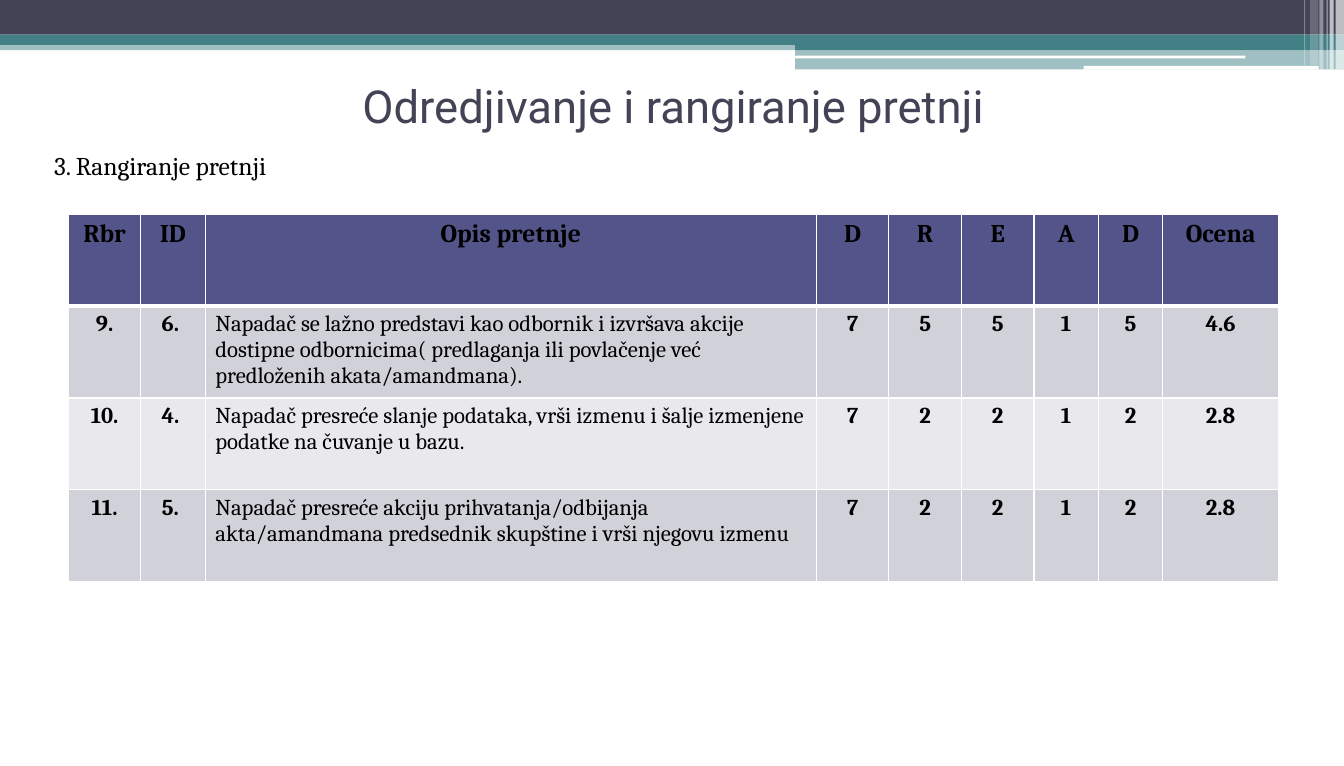
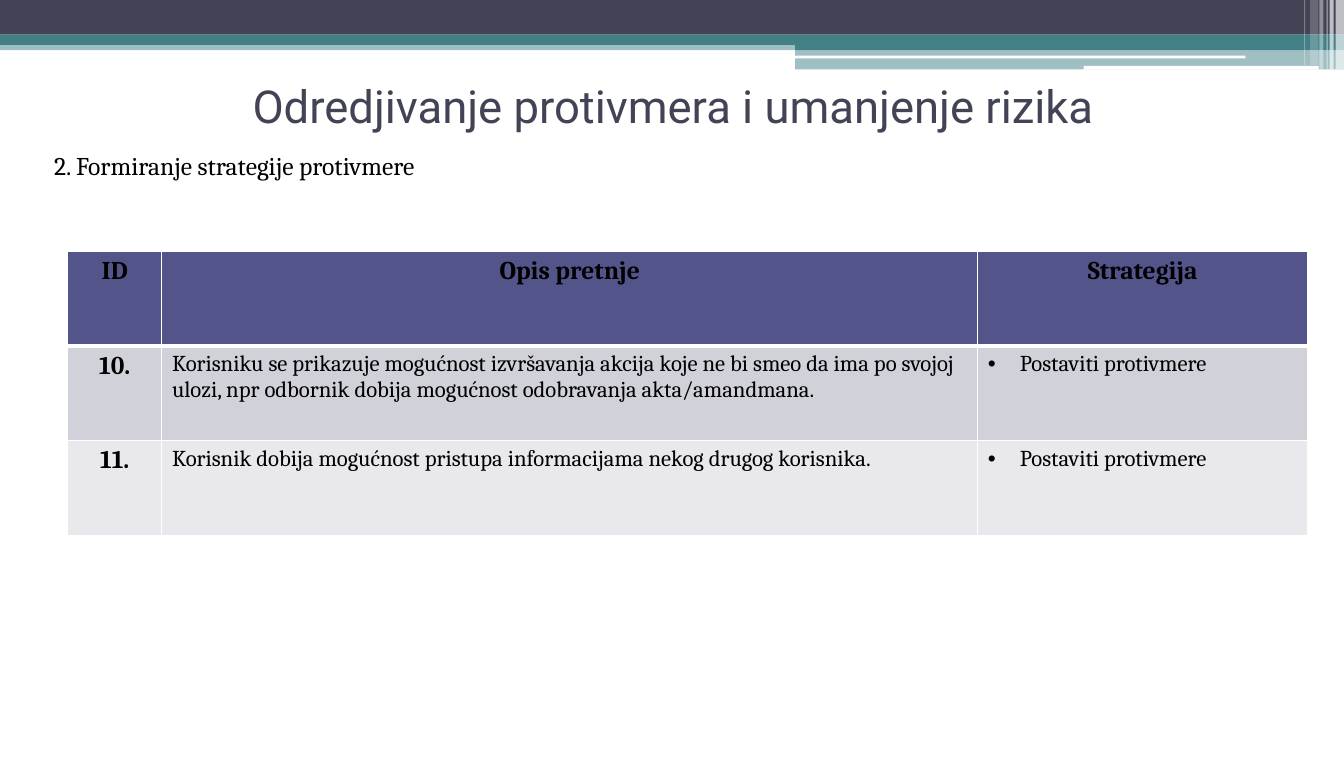
from lxml import etree
from pptx import Presentation
from pptx.dml.color import RGBColor
from pptx.enum import shapes, text
from pptx.oxml import ns
from pptx.util import Pt

WIDTH, HEIGHT = 946.85, 540
INK, TEAL, WHITE, BLACK = "424456", "438086", "FFFFFF", "000000"
HEADER, ROW_FILLS = "53548A", ("D1D1DA", "E9E9ED")
TITLE_FONT, BODY_FONT = "Roboto", "Cambria"
RECT = shapes.MSO_SHAPE.RECTANGLE
ROUND = shapes.MSO_SHAPE.ROUNDED_RECTANGLE
LEFT, CENTER = text.PP_ALIGN.LEFT, text.PP_ALIGN.CENTER

BANDS = [
    (RECT, 0, 28.8, WIDTH, 6.5, TEAL, 50),
    (RECT, 0, 0, WIDTH, 24.5, INK, 100),
    (RECT, 0, 24.5, WIDTH, 7.2, TEAL, 100),
    (RECT, 560.2, 28.1, 386.6, 7.2, TEAL, 100),
    (RECT, 560.2, 34.7, 386.6, 14.2, TEAL, 50),
    (ROUND, 560.2, 39.2, 317.2, 2, WHITE, 100),
    (ROUND, 763.4, 46.4, 165.6, 2.7, WHITE, 100),
]
STRIPES = [
    (941, 5.8, 49, 65),
    (936.7, 2.9, 49, 65),
    (934.6, 0.7, 49, 60),
    (929.5, 2.9, 49, 40),
    (923, 5.8, 46.1, 20),
    (918.7, 0.7, 46.1, 30),
]
BANDS += [(RECT, x, 0, w, h, WHITE, alpha) for x, w, h, alpha in STRIPES]


def rgb(value):
    return RGBColor.from_string(value)


def sub(parent, tag, **attrs):
    return etree.SubElement(parent, ns.qn(tag), attrs)


def write(tf, content, size=18, font=BODY_FONT, color=BLACK, bold=False,
          align=LEFT, bullet=False):
    p = tf.paragraphs[0]
    p.alignment = align
    if bullet:
        pPr = p._p.get_or_add_pPr()
        indent = Pt(22.5)
        pPr.set("marL", str(indent))
        pPr.set("indent", str(-indent))
        sub(pPr, "a:buFont", typeface="Arial")
        sub(pPr, "a:buChar", char="•")
    r = p.add_run()
    r.text = content
    r.font.size = Pt(size)
    r.font.name = font
    r.font.bold = bold
    r.font.color.rgb = rgb(color)


def add_bands(slide):
    for kind, x, y, w, h, color, alpha in BANDS:
        sp = slide.shapes.add_shape(kind, Pt(x), Pt(y), Pt(w), Pt(h))
        sp.shadow.inherit = False
        sp.line.fill.background()
        sp.fill.solid()
        sp.fill.fore_color.rgb = rgb(color)
        if alpha < 100:
            clr = sp.fill._xPr.find(".//" + ns.qn("a:srgbClr"))
            sub(clr, "a:alpha", val=str(alpha * 1000))


def add_title(slide, content, x, y, w, h):
    title = slide.shapes.title
    title.left, title.top, title.width, title.height = map(Pt, (x, y, w, h))
    tf = title.text_frame
    tf.word_wrap = True
    tf.auto_size = text.MSO_AUTO_SIZE.NONE
    tf.vertical_anchor = text.MSO_ANCHOR.MIDDLE
    write(tf, content, size=32, font=TITLE_FONT, color=INK, align=CENTER)


def add_subtitle(slide, content, x, y, w, h):
    tf = slide.shapes.add_textbox(Pt(x), Pt(y), Pt(w), Pt(h)).text_frame
    tf.word_wrap = True
    write(tf, content)


def style_cell(cell, fill, bottom):
    tcPr = cell._tc.get_or_add_tcPr()
    for side, width in (("L", 1), ("R", 1), ("T", 1), ("B", bottom)):
        ln = sub(tcPr, "a:ln" + side, w=str(Pt(width)))
        sub(sub(ln, "a:solidFill"), "a:srgbClr", val=WHITE)
    cell.fill.solid()
    cell.fill.fore_color.rgb = rgb(fill)


def add_threat_table(slide, x, y, widths, row_height, header, rows, formats):
    count = len(rows) + 1
    frame = slide.shapes.add_table(count, len(widths), Pt(x), Pt(y),
                                   Pt(sum(widths)), Pt(row_height * count))
    table = frame.table
    for column, width in zip(table.columns, widths):
        column.width = Pt(width)
    for i, values in enumerate([header] + rows):
        table.rows[i].height = Pt(row_height)
        fill = ROW_FILLS[(i - 1) % 2] if i else HEADER
        for j, value in enumerate(values):
            cell = table.cell(i, j)
            style_cell(cell, fill, 1 if i else 3)
            style = formats[j] if i else dict(bold=True, align=CENTER)
            write(cell.text_frame, value, **style)


def add_threat_slide(prs, title, subtitle, **table):
    slide = prs.slides.add_slide(prs.slide_layouts[5])
    add_bands(slide)
    add_title(slide, title, 48.2, 31.7, 852.5, 85)
    add_subtitle(slide, subtitle, 31, 102.2, 357.8, 29)
    add_threat_table(slide, **table)


prs = Presentation()
prs.slide_width = Pt(WIDTH)
prs.slide_height = Pt(HEIGHT)

score = dict(size=16, bold=True, align=CENTER)
description = dict(size=16)
add_threat_slide(
    prs, "Odredjivanje i rangiranje pretnji", "3. Rangiranje pretnji",
    x=48.4, y=151.2, row_height=64.6,
    widths=[50.6, 45.6, 430.6, 51.1, 51.1, 51.1, 45.4, 45.4, 81.6],
    header=["Rbr", "ID", "Opis pretnje", *"DREAD", "Ocena"],
    rows=[
        ["9.", "6. ", "Napadač se lažno predstavi kao odbornik i izvršava "
         "akcije dostipne odbornicima( predlaganja ili povlačenje već "
         "predloženih akata/amandmana).", *"75515", "4.6"],
        ["10.", "4. ", "Napadač presreće slanje podataka, vrši izmenu i "
         "šalje izmenjene podatke na čuvanje u bazu.", *"72212", "2.8"],
        ["11.", "5. ", "Napadač presreće akciju prihvatanja/odbijanja "
         "akta/amandmana predsednik skupštine i vrši njegovu izmenu ",
         *"72212", "2.8"],
    ],
    formats=[score, score, description] + [score] * 6)

strategy = "Postaviti protivmere"
add_threat_slide(
    prs, "Odredjivanje protivmera i umanjenje rizika",
    "2. Formiranje strategije protivmere",
    x=47.7, y=177.2, row_height=66.8, widths=[66.3, 574.8, 232.6],
    header=["ID", "Opis pretnje", "Strategija"],
    rows=[
        ["10.", "Korisniku se prikazuje mogućnost izvršavanja akcija koje ne "
         "bi smeo da ima po svojoj ulozi, npr odbornik dobija mogućnost "
         "odobravanja akta/amandmana.", strategy],
        ["11.", "Korisnik dobija mogućnost pristupa informacijama nekog "
         "drugog korisnika. ", strategy],
    ],
    formats=[dict(bold=True, align=CENTER), description,
             dict(size=16, bullet=True)])

prs.save("out.pptx")
